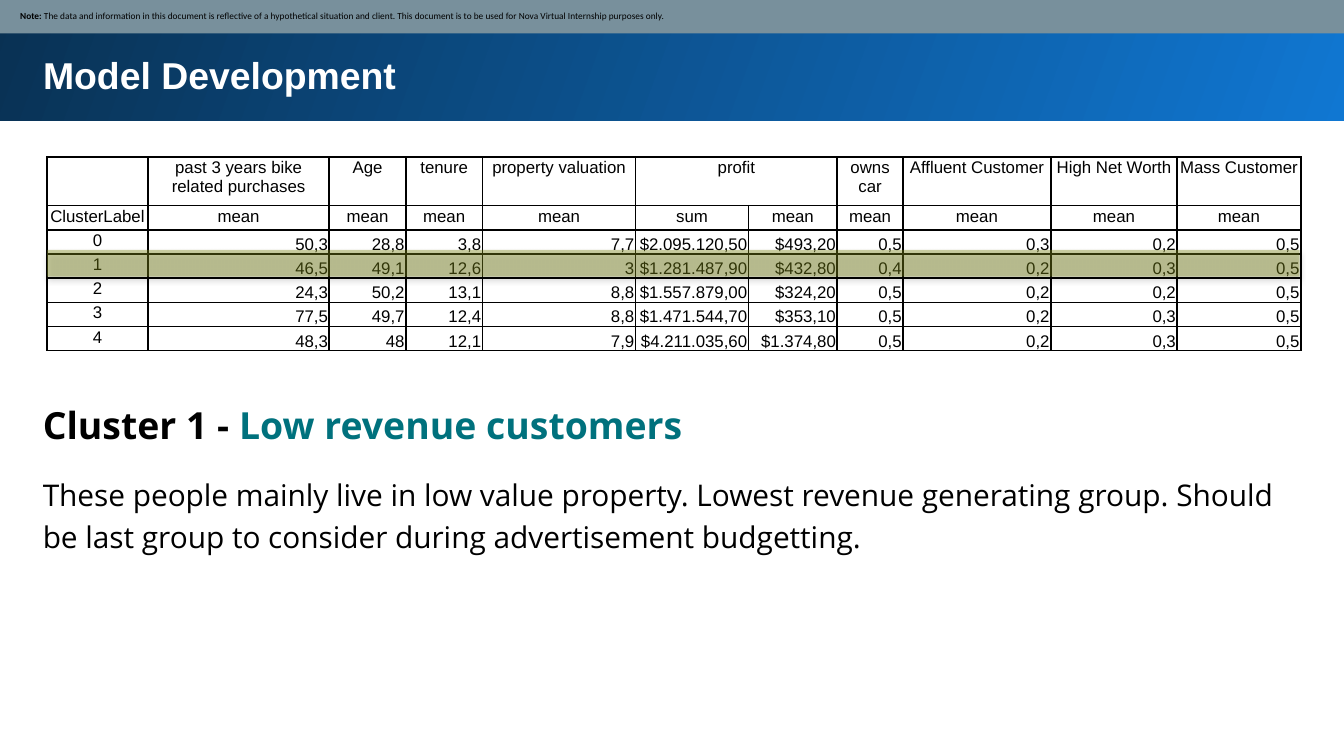
from lxml import etree
from pptx import Presentation
from pptx.dml.color import RGBColor
from pptx.enum.shapes import MSO_SHAPE
from pptx.enum.text import MSO_ANCHOR, MSO_AUTO_SIZE, PP_ALIGN
from pptx.oxml import parse_xml
from pptx.oxml.ns import nsdecls, qn
from pptx.util import Inches, Pt

TITLE_ONLY = 5
RECTANGLE = MSO_SHAPE.RECTANGLE
LEFT, CENTER, RIGHT = PP_ALIGN.LEFT, PP_ALIGN.CENTER, PP_ALIGN.RIGHT
TOP, MIDDLE, BOTTOM = MSO_ANCHOR.TOP, MSO_ANCHOR.MIDDLE, MSO_ANCHOR.BOTTOM
NO_AUTOFIT = MSO_AUTO_SIZE.NONE

SLIDE_WIDTH = Inches(10)
SLIDE_HEIGHT = SLIDE_WIDTH * 9 // 16
TEXT_LEFT, TEXT_WIDTH = 0.22, 9.37
TABLE_LEFT, TABLE_TOP, TABLE_WIDTH = 0.35, 1.17, 9.32
HEADER_HEIGHT, ROW_HEIGHT = 0.36, 0.18
COLUMN_WIDTHS = [0.75, 1.35, 0.57, 0.57, 1.14, 0.84, 0.66, 0.49, 1.1, 0.94, 0.92]
HEADER_ROWS = 2
PROFIT_COLUMN = 5
CLUSTER_TABLE = [
    ["", "past 3 years bike related purchases", "Age", "tenure", "property valuation",
     "profit", "", "owns car", "Affluent Customer", "High Net Worth", "Mass Customer"],
    ["ClusterLabel"] + ["mean"] * 4 + ["sum"] + ["mean"] * 5,
    ["0", "50,3", "28,8", "3,8", "7,7", "$2.095.120,50", "$493,20", "0,5", "0,3", "0,2", "0,5"],
    ["1", "46,5", "49,1", "12,6", "3", "$1.281.487,90", "$432,80", "0,4", "0,2", "0,3", "0,5"],
    ["2", "24,3", "50,2", "13,1", "8,8", "$1.557.879,00", "$324,20", "0,5", "0,2", "0,2", "0,5"],
    ["3", "77,5", "49,7", "12,4", "8,8", "$1.471.544,70", "$353,10", "0,5", "0,2", "0,3", "0,5"],
    ["4", "48,3", "48", "12,1", "7,9", "$4.211.035,60", "$1.374,80", "0,5", "0,2", "0,3", "0,5"],
]


def rgb(value):
    return RGBColor.from_string(value)


def set_margins(target, left, top, right, bottom):
    """Set the insets of a text frame or table cell, in inches."""
    target.margin_left, target.margin_top = Inches(left), Inches(top)
    target.margin_right, target.margin_bottom = Inches(right), Inches(bottom)


def add_borders(cell, color, width):
    properties = cell._tc.get_or_add_tcPr()
    for side in ("lnL", "lnR", "lnT", "lnB"):
        properties.append(parse_xml(
            f'<a:{side} {nsdecls("a")} w="{Pt(width)}"><a:solidFill>'
            f'<a:srgbClr val="{color}"/></a:solidFill></a:{side}>'))


class SlideBuilder:
    BLACK, WHITE, TEAL = "000000", "FFFFFF", "00717D"
    NOTE_GRAY, HIGHLIGHT = "78909C", "7D8818"
    GRADIENT = ("1077D2", "093153")
    HEADING_FONT, BODY_FONT, NOTE_FONT = "Arial", "Open Sans", "Calibri"

    def __init__(self, slide):
        self.slide = slide

    def style(self, paragraph, font, size, color, bold=None, alignment=LEFT):
        paragraph.font.name = font
        paragraph.font.size = Pt(size)
        paragraph.font.color.rgb = rgb(color)
        paragraph.font.bold = bold
        paragraph.alignment = alignment

    def rectangle(self, left, top, width, height, color=None):
        shape = self.slide.shapes.add_shape(
            RECTANGLE, Inches(left), Inches(top), Inches(width), Inches(height))
        shape.shadow.inherit = False
        shape.line.fill.background()
        if color:
            shape.fill.solid()
            shape.fill.fore_color.rgb = rgb(color)
        return shape

    def banner(self, left, top, width, height):
        """Add the gradient band behind the title."""
        shape = self.rectangle(left, top, width, height)
        shape.fill.gradient()
        shape.fill.gradient_angle = 160
        for stop, color in zip(shape.fill.gradient_stops, self.GRADIENT):
            stop.color.rgb = rgb(color)
        self.slide.shapes.title.element.addprevious(shape.element)

    def title(self, text, top, height):
        title = self.slide.shapes.title
        title.left, title.top = Inches(TEXT_LEFT), Inches(top)
        title.width, title.height = Inches(TEXT_WIDTH), Inches(height)
        frame = title.text_frame
        frame.text = text
        frame.auto_size = NO_AUTOFIT
        frame.vertical_anchor = TOP
        set_margins(frame, 0.1, 0.1, 0.1, 0.1)
        self.style(frame.paragraphs[0], self.HEADING_FONT, 20, self.WHITE, bold=True)

    def note(self, label, text, left, top, width, height):
        frame = self.rectangle(left, top, width, height, self.NOTE_GRAY).text_frame
        frame.word_wrap = True
        frame.vertical_anchor = MIDDLE
        set_margins(frame, 0.16, 0.05, 0.05, 0.05)
        paragraph = frame.paragraphs[0]
        self.style(paragraph, self.NOTE_FONT, 5, self.BLACK)
        for words, bold in ((label, True), (text, False)):
            run = paragraph.add_run()
            run.text = words
            run.font.bold = bold

    def text(self, pieces, top, height, size, bold=False):
        """Add one paragraph made of (words, color) pieces."""
        box = self.slide.shapes.add_textbox(
            Inches(TEXT_LEFT), Inches(top), Inches(TEXT_WIDTH), Inches(height))
        frame = box.text_frame
        frame.word_wrap = True
        set_margins(frame, 0.1, 0.1, 0.1, 0.1)
        paragraph = frame.paragraphs[0]
        paragraph.line_spacing = 1.15
        self.style(paragraph, self.BODY_FONT, size, self.BLACK, bold)
        for words, color in pieces:
            run = paragraph.add_run()
            run.text = words
            run.font.color.rgb = rgb(color)

    def table(self, rows):
        height = HEADER_HEIGHT + ROW_HEIGHT * (len(rows) - 1)
        table = self.slide.shapes.add_table(
            len(rows), len(COLUMN_WIDTHS), Inches(TABLE_LEFT), Inches(TABLE_TOP),
            Inches(TABLE_WIDTH), Inches(height)).table
        table.first_row = table.horz_banding = False
        for column, width in zip(table.columns, COLUMN_WIDTHS):
            column.width = Inches(width)
        for row_index, values in enumerate(rows):
            table.rows[row_index].height = Inches(ROW_HEIGHT if row_index else HEADER_HEIGHT)
            for column_index, value in enumerate(values):
                is_number = row_index >= HEADER_ROWS and column_index > 0
                self.cell(table.cell(row_index, column_index), value, is_number)
        table.cell(0, PROFIT_COLUMN).merge(table.cell(0, PROFIT_COLUMN + 1))

    def cell(self, cell, value, is_number):
        if value:
            cell.text = value
        set_margins(cell, 0.01, 0.01, 0.01, 0)
        cell.vertical_anchor = BOTTOM if is_number else TOP
        self.style(cell.text_frame.paragraphs[0], self.HEADING_FONT, 9, self.BLACK,
                   alignment=RIGHT if is_number else CENTER)
        add_borders(cell, self.BLACK, 1)
        cell.fill.background()

    def highlight(self, left, top, width, height):
        """Add a translucent bar with a soft shadow."""
        shape = self.rectangle(left, top, width, height, self.HIGHLIGHT)
        properties = shape.element.spPr
        color = properties.find(qn("a:solidFill")).find(qn("a:srgbClr"))
        etree.SubElement(color, qn("a:alpha"), val="40000")
        properties.find(qn("a:effectLst")).append(parse_xml(
            f'<a:outerShdw {nsdecls("a")} blurRad="{Pt(3)}" dist="{Pt(1.8)}" dir="5400000" '
            f'rotWithShape="0"><a:srgbClr val="{self.BLACK}"><a:alpha val="35000"/>'
            '</a:srgbClr></a:outerShdw>'))


def main():
    presentation = Presentation()
    presentation.slide_width, presentation.slide_height = SLIDE_WIDTH, SLIDE_HEIGHT
    slide = presentation.slides.add_slide(presentation.slide_layouts[TITLE_ONLY])
    builder = SlideBuilder(slide)

    builder.banner(-0.02, -0.02, 10.05, 0.92)
    builder.title("Model Development", 0.29, 0.54)
    builder.text([("Cluster 1 - ", builder.BLACK), ("Low revenue customers", builder.TEAL)],
                 2.84, 0.56, 20, bold=True)
    builder.note("Note: ", "The data and information in this document is reflective of a "
                 "hypothetical situation and client. This document is to be used for "
                 "Nova Virtual Internship purposes only.", -0.01, -0.01, 10.03, 0.26)
    builder.table(CLUSTER_TABLE)
    builder.text([("These people mainly live in low value property. Lowest revenue generating "
                   "group. Should be last group to consider during advertisement budgetting.",
                   builder.BLACK)], 3.41, 0.8, 16)
    builder.highlight(TABLE_LEFT, 1.86, TABLE_WIDTH, 0.2)

    presentation.save("out.pptx")


if __name__ == "__main__":
    main()
